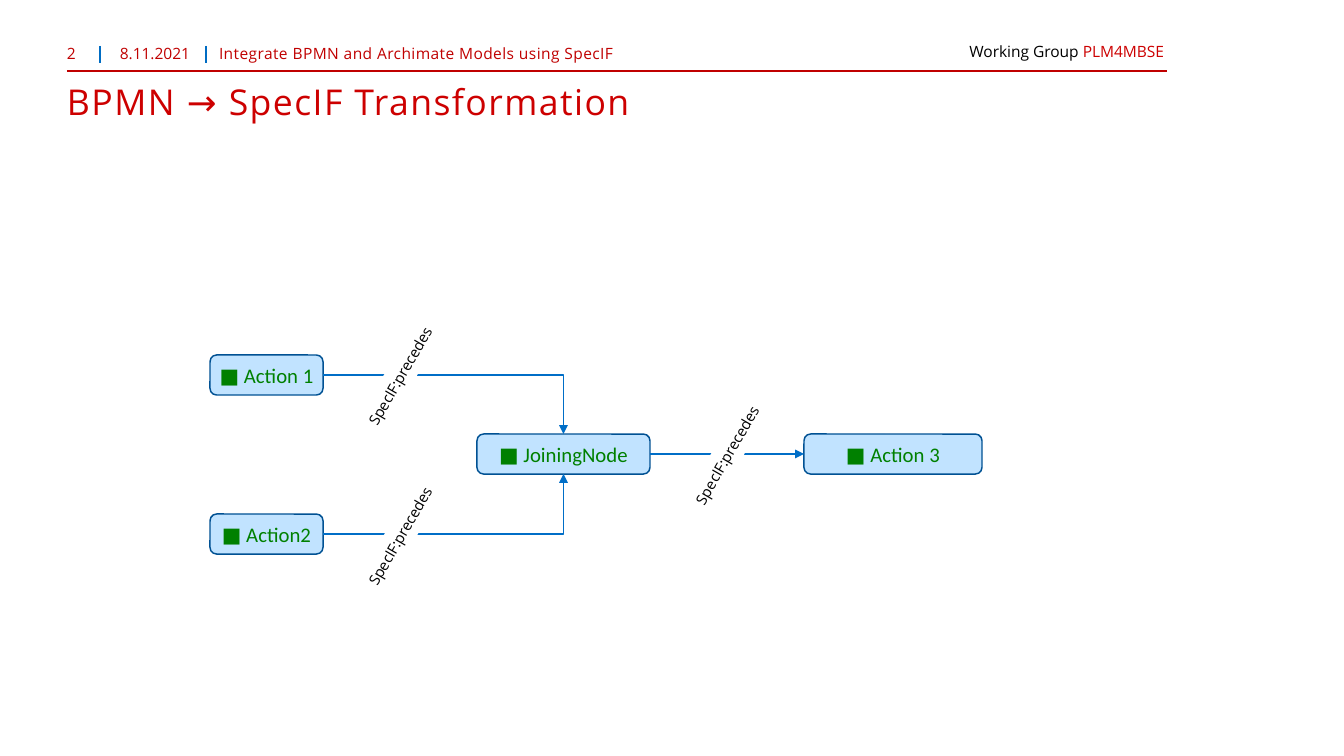
from pptx import Presentation
from pptx.dml.color import RGBColor
from pptx.enum.shapes import MSO_CONNECTOR as Link, MSO_SHAPE as Shape
from pptx.enum.text import MSO_ANCHOR as Anchor, PP_ALIGN as Align
from pptx.oxml.ns import qn
from pptx.util import Pt
from lxml.etree import SubElement

PX = 8572.5
HUES = {
    "black": "000000", "white": "FFFFFF", "red": "CD0000", "dark": "C00000",
    "tick": "006CC3", "arrow": "006EC7", "fill": "C1E3FF", "edge": "005193",
    "green": "008000",
}
TOP, LEFT, BOTTOM, RIGHT = range(4)


def emu(*sizes):
    return [round(size * PX) for size in sizes]


def hue(name):
    return RGBColor.from_string(HUES[name])


def style(font, face, size, color):
    font.name, font.size = face, Pt(size)
    font.color.rgb = hue(color)


def inset(frame, side, top, bottom):
    frame.margin_left = frame.margin_right = emu(side)[0]
    frame.margin_top, frame.margin_bottom = emu(top, bottom)


def add_text(slide, box, text, size=10.5, color="dark", align=Align.LEFT, top=2, gap=0):
    frame = slide.shapes.add_textbox(*emu(*box)).text_frame
    frame.word_wrap = True
    inset(frame, 0, top, 0)
    para = frame.paragraphs[0]
    para.alignment = align
    run = para.add_run()
    run.text = text
    style(para.font, "Open Sans", size, color)
    if gap:
        run._r.get_or_add_rPr().set("spc", str(gap))


def add_group(slide):
    frame = slide.shapes.add_textbox(*emu(959, 37, 220, 30)).text_frame
    frame.word_wrap = False
    para = frame.paragraphs[0]
    for text, color in (("Working Group ", "black"), ("PLM4MBSE", "red")):
        run = para.add_run()
        run.text = text
        style(run.font, "Open Sans", 10.5, color)


def add_line(slide, ends, color, width, kind=Link.STRAIGHT):
    line = slide.shapes.add_connector(kind, *emu(*ends))
    line.line.color.rgb = hue(color)
    line.line.width = Pt(width)
    SubElement(line._element.spPr, qn("a:effectLst"))
    return line


def add_shape(slide, kind, box, fill, edge, width, text):
    shape = slide.shapes.add_shape(kind, *emu(*box))
    shape.shadow.inherit = False
    shape.fill.solid()
    shape.fill.fore_color.rgb = hue(fill)
    shape.line.color.rgb = hue(edge)
    shape.line.width = Pt(width)
    frame = shape.text_frame
    frame.word_wrap = True
    frame.vertical_anchor = Anchor.MIDDLE
    para = frame.paragraphs[0]
    para.text, para.alignment = text, Align.CENTER
    return shape


def add_node(slide, left, top, width, text):
    box = (left, top, width, 40)
    node = add_shape(slide, Shape.ROUNDED_RECTANGLE, box, "fill", "edge", 1, "■ " + text)
    inset(node.text_frame, 5, 5, 5)
    style(node.text_frame.paragraphs[0].font, "Calibri", 14, "green")
    return node


def add_label(slide, left, top):
    box = (left, top, 134, 26)
    label = add_shape(slide, Shape.RECTANGLE, box, "white", "white", 2, "SpecIF:precedes")
    label.rotation = 300
    inset(label.text_frame, 0, 5, 5)
    style(label.text_frame.paragraphs[0].font, "Open Sans", 10, "black")


def add_arrow(slide, start, end, site):
    bent = site != LEFT
    line = add_line(slide, (0, 0, 1, 1), "arrow", 1, Link.ELBOW if bent else Link.STRAIGHT)
    line.begin_connect(start, RIGHT)
    line.end_connect(end, site)
    if bent:
        line._element.spPr.find(qn("a:prstGeom")).set("prst", "bentConnector2")
    SubElement(line.line._get_or_add_ln(), qn("a:tailEnd"), type="triangle")


def main():
    deck = Presentation()
    deck.slide_width, deck.slide_height = emu(1344, 756)
    slide = deck.slides.add_slide(deck.slide_layouts[6])

    add_line(slide, (67, 71, 1167, 71), "dark", 1)
    for left in (100, 206):
        add_line(slide, (left, 46, left, 63), "tick", 0.75)
    add_group(slide)
    add_text(slide, (67, 42, 33, 26), "2")
    add_text(slide, (107, 42, 96, 26), "8.11.2021", align=Align.CENTER)
    add_text(slide, (219, 42, 974, 26),
             "Integrate BPMN and Archimate Models using SpecIF", gap=30)
    add_text(slide, (67, 76, 1125, 81), "BPMN → SpecIF Transformation",
             size=24, color="red", top=4, gap=100)

    first = add_node(slide, 210, 355, 113, "Action 1")
    second = add_node(slide, 210, 514, 113, "Action2")
    join = add_node(slide, 477, 434, 173, "JoiningNode")
    third = add_node(slide, 804, 434, 178, "Action 3")

    add_arrow(slide, first, join, TOP)
    add_arrow(slide, second, join, BOTTOM)
    add_arrow(slide, join, third, LEFT)
    for left, top in ((333, 363), (333, 523), (660, 442)):
        add_label(slide, left, top)

    deck.save("out.pptx")


if __name__ == "__main__":
    main()
